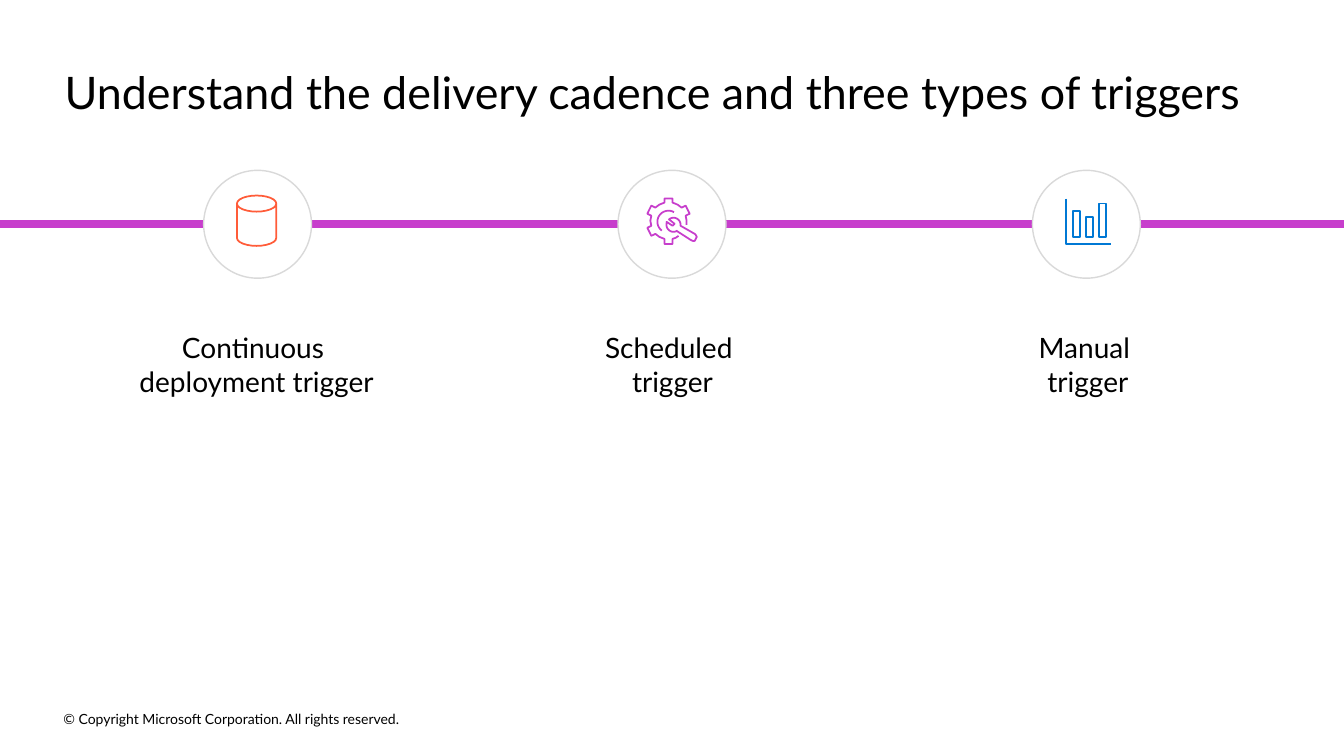
import math
import pptx
import pptx.util
import pptx.dml.color
import pptx.enum.shapes
import pptx.enum.text
from lxml import etree
from pptx.util import Inches

COLORS = {"text": "000000", "white": "FFFFFF", "ring": "D9D9D9",
          "purple": "C73ECC", "orange": "FF5C39", "blue": "0078D4"}
ALIGN = pptx.enum.text.PP_ALIGN
ANCHOR = pptx.enum.text.MSO_ANCHOR
SHAPE = pptx.enum.shapes.MSO_SHAPE
RING = 1.07
RING_TOP = 1.69
PITCH = 4.11


def rgb(name):
    return pptx.dml.color.RGBColor.from_string(COLORS[name])


def add_text(s, box, text, size, align=ALIGN.LEFT, anchor=ANCHOR.TOP):
    tf = s.shapes.add_textbox(*map(Inches, box)).text_frame
    frame = {"margin_left": 0, "margin_right": 0, "margin_top": 0,
             "margin_bottom": 0, "word_wrap": True, "vertical_anchor": anchor}
    for key, value in frame.items():
        setattr(tf, key, value)
    p = tf.paragraphs[0]
    p.text = text
    p.alignment = align
    for r in p.runs:
        for key, value in {"name": "Lato", "size": pptx.util.Pt(size)}.items():
            setattr(r.font, key, value)
        r.font.color.rgb = rgb("text")


def style_outline(sp, color, width=1.25, fill=None):
    sp.shadow.inherit = False
    if fill:
        sp.fill.solid()
        sp.fill.fore_color.rgb = rgb(fill)
    else:
        sp.fill.background()
    sp.line.color.rgb = rgb(color)
    sp.line.width = pptx.util.Pt(width)


def arc(cx, cy, radius, start, end, steps=16):
    """Points on a circle between two angles in degrees."""
    angles = [math.radians(start + (end - start) * i / steps) for i in range(steps + 1)]
    return [(cx + radius * math.cos(a), cy + radius * math.sin(a)) for a in angles]


def draw_paths(s, left, top, paths, color):
    """One freeform from point lists measured from left and top."""
    builder = None
    for path in paths:
        points = [(Inches(left + x), Inches(top + y)) for x, y in path]
        if builder is None:
            builder = s.shapes.build_freeform(*points[0], scale=1.0)
        else:
            builder.move_to(*points[0])
        builder.add_line_segments(points[1:], close=False)
    style_outline(builder.convert_to_shape(), color)


def database_icon(s, left, top):
    sp = s.shapes.add_shape(SHAPE.CAN, *map(Inches, (left + 0.33, top + 0.25, 0.39, 0.5)))
    sp.adjustments[0] = 0.41
    style_outline(sp, "orange")


def gear_icon(s, left, top):
    gear = [(0.31, 0.37), (0.28, 0.39), (0.25, 0.4), (0.25, 0.45), (0.17, 0.45),
            (0.17, 0.4), (0.12, 0.38), (0.08, 0.35), (0.04, 0.37), (0, 0.29),
            (0.04, 0.27), (0.03, 0.22), (0.04, 0.17), (0, 0.15), (0.04, 0.07),
            (0.08, 0.09), (0.12, 0.06), (0.17, 0.04), (0.17, 0), (0.25, 0),
            (0.25, 0.04), (0.3, 0.06), (0.34, 0.09), (0.38, 0.07), (0.42, 0.15),
            (0.38, 0.17), (0.39, 0.22), (0.39, 0.26)]
    hub = arc(0.21, 0.23, 0.11, -60, -233)
    handle = [(0.29, 0.32), (0.43, 0.41), (0.45, 0.42), (0.47, 0.42), (0.48, 0.4),
              (0.49, 0.38), (0.48, 0.36), (0.47, 0.35), (0.33, 0.27)]
    jaw = arc(0.26, 0.26, 0.07, 0, -130) + [(0.27, 0.25), (0.25, 0.27), (0.19, 0.23)]
    wrench = handle + jaw + arc(0.26, 0.26, 0.07, 200, 60) + handle[:1]
    draw_paths(s, left + 0.29, top + 0.28, [gear, hub, wrench], "purple")


def chart_icon(s, left, top):
    bars = [[(x, 0.38), (x, y), (x + 0.07, y), (x + 0.07, 0.38), (x, 0.38)]
            for x, y in ((0.07, 0.12), (0.2, 0.18), (0.33, 0.05))]
    axes = [(0, 0), (0, 0.45), (0.45, 0.45)]
    draw_paths(s, left + 0.33, top + 0.28, bars + [axes], "blue")


def add_timeline(s, width):
    y = Inches(RING_TOP + RING / 2)
    line = s.shapes.add_connector(pptx.enum.shapes.MSO_CONNECTOR.STRAIGHT, 0, y, Inches(width), y)
    line.line.color.rgb = rgb("purple")
    line.line.width = pptx.util.Pt(6)
    etree.SubElement(line._element.spPr, pptx.oxml.ns.qn("a:effectLst"))


def add_trigger(s, left, icon, label, label_left, label_width):
    ring = s.shapes.add_shape(SHAPE.OVAL, *map(Inches, (left, RING_TOP, RING, RING)))
    style_outline(ring, "ring", 1, "white")
    icon(s, left, RING_TOP)
    add_text(s, (label_left, 3.28, label_width, 0.67), label, 20, ALIGN.CENTER)


def main():
    prs = pptx.Presentation()
    prs.slide_width, prs.slide_height = Inches(13.33), Inches(7.5)
    s = prs.slides.add_slide(prs.slide_layouts[6])
    add_text(s, (0.64, 0.64, 12.04, 0.54),
             "Understand the delivery cadence and three types of triggers", 32)
    add_timeline(s, 13.33)
    triggers = [(database_icon, "Continuous \vdeployment trigger", 0.57, 3.95),
                (gear_icon, "Scheduled \vtrigger", 4.77, 3.8),
                (chart_icon, "Manual \vtrigger", 8.89, 3.8)]
    for i, trigger in enumerate(triggers):
        add_trigger(s, 2.02 + i * PITCH, *trigger)
    add_text(s, (0.63, 7.02, 4.54, 0.22),
             "© Copyright Microsoft Corporation. All rights reserved.", 10,
             anchor=ANCHOR.MIDDLE)
    prs.save("out.pptx")


if __name__ == "__main__":
    main()
